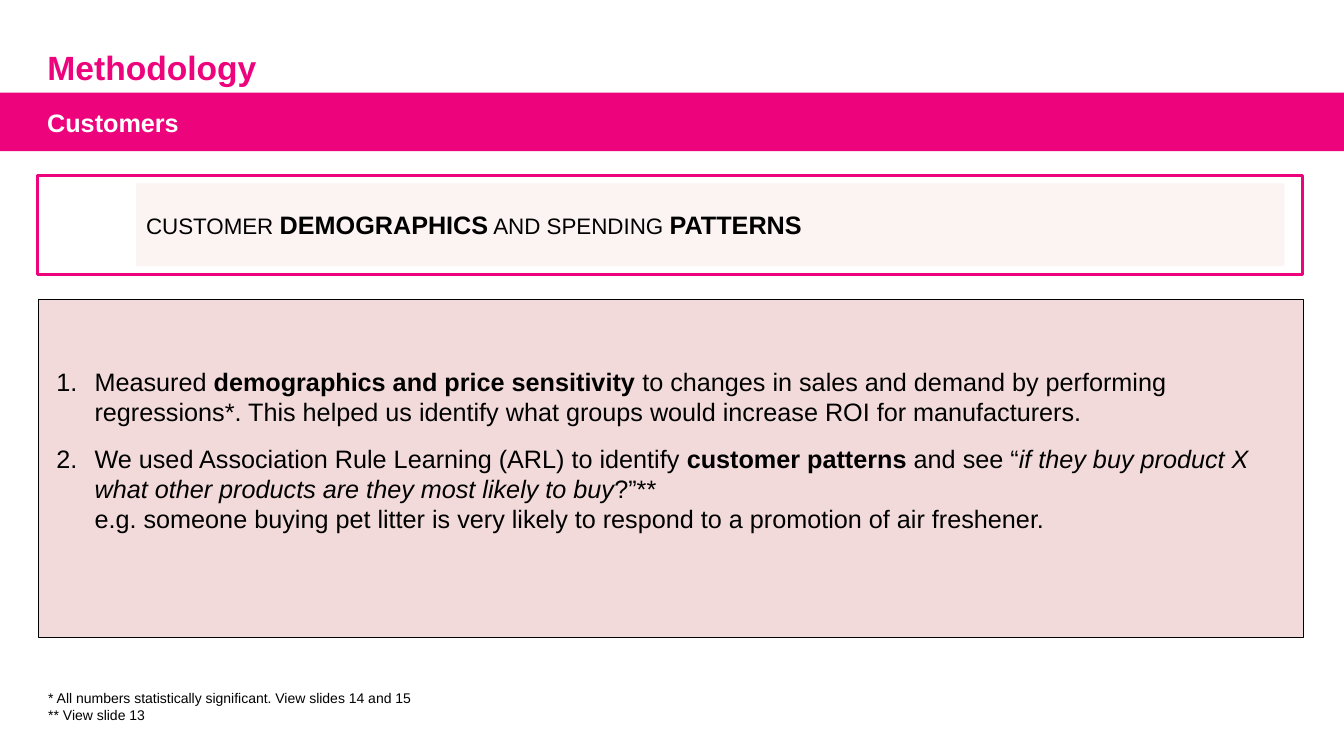
from pptx import Presentation, util as u
from pptx.dml.color import RGBColor
from pptx.enum import shapes, text
from lxml import etree

PINK, BLACK, WHITE = "ED037C", "000000", "FFFFFF"
LEFT, WIDE = 0.37, 12.55
BAND_TOP, BAND_HIGH = 0.92, 0.58

deck = Presentation()
deck.slide_width, deck.slide_height = u.Inches(13.33), u.Inches(7.5)
slide = deck.slides.add_slide(deck.slide_layouts[5])


def box(place, fill=None, line=None, width=0.75):
    """Add a rectangle; place is left, top, width, height in inches."""
    rect = slide.shapes.add_shape(
        shapes.MSO_SHAPE.RECTANGLE, *map(u.Inches, place))
    rect.shadow.inherit = False
    for paint, color in ((rect.fill, fill), (rect.line.fill, line)):
        if color:
            paint.solid()
            paint.fore_color.rgb = RGBColor.from_string(color)
        else:
            paint.background()
    if line:
        rect.line.width = u.Pt(width)
    return rect


def write(shape, rows, color=BLACK, anchor=text.MSO_ANCHOR.MIDDLE):
    """Fill a shape with rows of (words, size, style); style holds b or i."""
    frame = shape.text_frame
    frame.word_wrap = True
    frame.auto_size = text.MSO_AUTO_SIZE.NONE
    frame.vertical_anchor = anchor
    frame.text = "\n".join("" for row in rows)
    for par, row in zip(frame.paragraphs, rows):
        par.alignment = text.PP_ALIGN.LEFT
        for words, size, style in row:
            if words == "\n":
                par.add_line_break()
                continue
            run = par.add_run()
            run.text = words
            font = run.font
            font.name, font.size = "Arial", u.Pt(size)
            font.bold, font.italic = "b" in style, "i" in style
            font.color.rgb = RGBColor.from_string(color)
    return frame


# Heading and pink band
box((0, BAND_TOP, 13.33, BAND_HIGH), PINK)
title = slide.shapes.title
title.left, title.top, title.width, title.height = map(
    u.Inches, (LEFT, 0.3, 10.5, 0.62))
write(title, [[("Methodology", 24, "b")]], PINK, text.MSO_ANCHOR.BOTTOM)
topic = slide.shapes.add_textbox(
    *map(u.Inches, (LEFT, BAND_TOP, 10.5, BAND_HIGH)))
write(topic, [[("Customers", 18, "b")]], WHITE)

# Framed theme
box((LEFT, 1.74, WIDE, 0.98), line=PINK, width=2)
theme = box((1.35, 1.82, 11.39, 0.82), "FBF4F3")
write(theme, [[
    ("CUSTOMER ", 16, ""), ("DEMOGRAPHICS", 18, "b"),
    (" AND SPENDING ", 16, ""), ("PATTERNS", 18, "b")]])

# Numbered steps
steps = box((0.38, 2.97, WIDE, 3.36), "F2DADA", BLACK)
frame = write(steps, [
    [("Measured ", 18, ""),
     ("demographics and price sensitivity ", 18, "b"),
     ("to changes in sales and demand by performing regressions*. This "
      "helped us identify what groups would increase ROI for "
      "manufacturers.", 18, "")],
    [("We used Association Rule Learning (ARL) to identify ", 18, ""),
     ("customer patterns", 18, "b"),
     (" and see “", 18, ""),
     ("if they buy product X what other products are they most likely to "
      "buy", 18, "i"),
     ("?”**", 18, ""),
     ("\n", 18, ""),
     ("e.g. someone buying pet litter is very likely to respond to a "
      "promotion of air freshener.", 18, "")]])
frame.margin_bottom = u.Inches(0.42)
frame.paragraphs[1].space_before = u.Pt(12)
SPACE = "{http://schemas.openxmlformats.org/drawingml/2006/main}"
for par in frame.paragraphs:
    props = par._p.get_or_add_pPr()
    props.set("marL", str(u.Inches(0.46)))
    props.set("indent", str(u.Inches(-0.38)))
    tint = etree.SubElement(props, SPACE + "buClr")
    etree.SubElement(tint, SPACE + "srgbClr", val=BLACK)
    etree.SubElement(props, SPACE + "buFont", typeface="+mj-lt")
    etree.SubElement(props, SPACE + "buAutoNum", type="arabicPeriod")

# Footnotes
notes = slide.shapes.add_textbox(*map(u.Inches, (0.38, 6.77, 6.15, 0.47)))
write(notes, [
    [("* All numbers statistically significant. View slides 14 and 15",
      10, "")],
    [("** View slide 13", 10, "")]])

deck.save("out.pptx")
